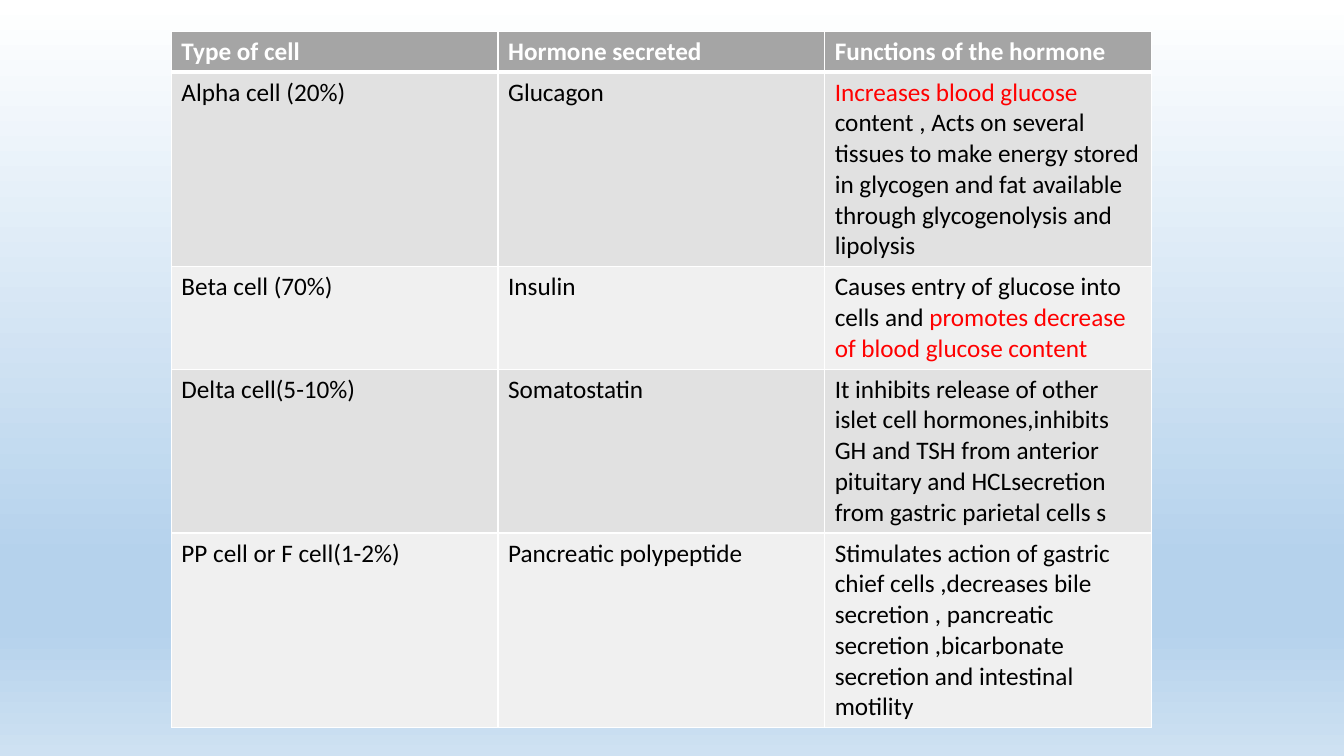
from copy import deepcopy
from dataclasses import dataclass

from lxml.etree import SubElement
from pptx import Presentation
from pptx.dml.color import RGBColor as Rgb
from pptx.oxml.ns import qn
from pptx.slide import Slide
from pptx.table import _Cell as Cell
from pptx.util import Inches, Pt


@dataclass(frozen=True)
class Theme:
    font: str = "Calibri"
    size: int = 18
    white: str = "FFFFFF"
    black: str = "000000"
    red: str = "FF0000"
    head: str = "A5A5A5"
    bands: tuple[str, ...] = ("F0F0F0", "E1E1E1")
    sky: tuple[tuple[float, str], ...] = (
        (0, "FFFFFF"), (0.74, "B5D2EC"), (0.83, "B5D2EC"), (1, "CEE1F2"))
    thin: int = 1
    thick: int = 3


@dataclass(frozen=True)
class Part:
    text: str
    color: str = Theme.black


@dataclass(frozen=True)
class Row:
    """One table row; lines is how many text lines its height allows."""
    lines: int
    cell: str
    hormone: str
    role: tuple[Part, ...]


THEME = Theme()
WIDE, HIGH = 13.33, 7.5
LEFT, TOP = 1.7, 0.31
COL = 3.24
PAD, LINE = 0.1, 0.29

HEAD = Row(1, "Type of cell", "Hormone secreted",
           (Part("Functions of the hormone"),))
BODY = [
    Row(6, "Alpha cell (20%)", "Glucagon", (
        Part("Increases blood glucose ", THEME.red),
        Part("content , Acts on several tissues to make energy stored in "
             "glycogen and fat available through glycogenolysis and lipolysis"))),
    Row(3, "Beta cell (70%)", "Insulin", (
        Part("Causes entry of glucose into cells and "),
        Part("promotes decrease of blood glucose content", THEME.red))),
    Row(5, "Delta cell(5-10%)", "Somatostatin", (
        Part("It inhibits release of other islet cell hormones,inhibits GH and "
             "TSH from anterior pituitary and HCLsecretion from gastric "
             "parietal cells s"),)),
    Row(6, "PP cell or F cell(1-2%)", "Pancreatic polypeptide", (
        Part("Stimulates action of gastric chief cells ,decreases bile "
             "secretion , pancreatic secretion ,bicarbonate secretion and "
             "intestinal motility"),)),
]


def paint_sky(slide: Slide) -> None:
    fill = slide.background.fill
    fill.gradient()
    fill.gradient_angle = 270
    stops = next(slide.element.iter(qn("a:gsLst")))
    while len(stops) < len(THEME.sky):
        stops.append(deepcopy(stops[0]))
    for stop, (place, color) in zip(fill.gradient_stops, THEME.sky):
        stop.position = place
        stop.color.rgb = Rgb.from_string(color)


def add_edges(cell: Cell, top: int, low: int) -> None:
    """Draw white cell borders, with top and low as widths in points."""
    props = cell._tc.get_or_add_tcPr()
    sides = {"L": THEME.thin, "R": THEME.thin, "T": top, "B": low}
    for spot, (side, width) in enumerate(sides.items()):
        edge = SubElement(props, qn(f"a:ln{side}"), w=str(Pt(width)))
        fill = SubElement(edge, qn("a:solidFill"))
        SubElement(fill, qn("a:srgbClr"), val=THEME.white)
        props.insert(spot, edge)


def fill_cell(cell: Cell, parts: tuple[Part, ...], index: int) -> None:
    is_head = index == 0
    shade = THEME.head if is_head else THEME.bands[index % 2]
    cell.fill.solid()
    cell.fill.fore_color.rgb = Rgb.from_string(shade)
    add_edges(cell, THEME.thick if index == 1 else THEME.thin,
              THEME.thick if is_head else THEME.thin)
    para = cell.text_frame.paragraphs[0]
    for part in parts:
        run = para.add_run()
        run.text = part.text
        font = run.font
        font.name, font.size, font.bold = THEME.font, Pt(THEME.size), is_head
        font.color.rgb = Rgb.from_string(THEME.white if is_head else part.color)


def add_grid(slide: Slide, rows: list[Row]) -> None:
    highs = [PAD + LINE * row.lines for row in rows]
    table = slide.shapes.add_table(
        len(rows), 3, Inches(LEFT), Inches(TOP),
        Inches(3 * COL), Inches(sum(highs))).table
    for index, (row, high) in enumerate(zip(rows, highs)):
        table.rows[index].height = Inches(high)
        texts = ((Part(row.cell),), (Part(row.hormone),), row.role)
        for cell, parts in zip(table.rows[index].cells, texts):
            fill_cell(cell, parts, index)


def main() -> None:
    deck = Presentation()
    deck.slide_width, deck.slide_height = Inches(WIDE), Inches(HIGH)
    slide = deck.slides.add_slide(deck.slide_layouts[6])
    paint_sky(slide)
    add_grid(slide, [HEAD, *BODY])
    deck.save("out.pptx")


if __name__ == "__main__":
    main()
